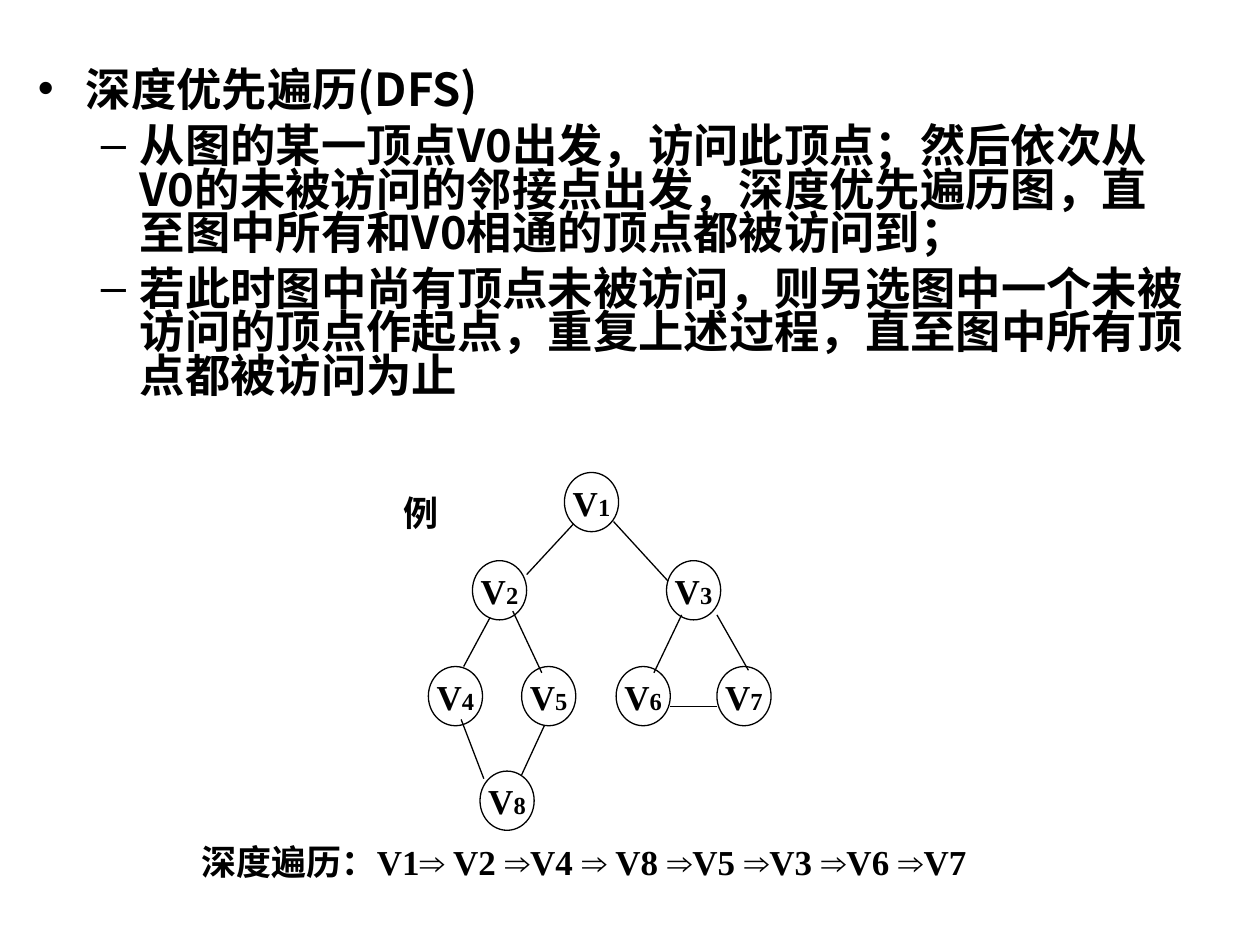
from lxml import etree
from pptx import Presentation, util as u
from pptx.dml.color import RGBColor
from pptx.enum import shapes, text
from pptx.oxml.ns import qn

BLACK = "000000"
CJK, SERIF, SANS = "Noto Sans CJK SC", "Times New Roman", "Arial"
NODE_W, NODE_H = 0.43, 0.47
ROWS = [3.75, 4.45, 5.29, 6.12]

# vertex number: (left, row)
NODES = {
    1: (4.48, 0), 2: (3.75, 1), 3: (5.29, 1), 4: (3.4, 2),
    5: (4.14, 2), 6: (4.89, 2), 7: (5.69, 2), 8: (3.81, 3),
}
EDGES = [
    (4.55, 4.16, 4.18, 4.56), (4.87, 4.14, 5.3, 4.61),
    (3.89, 4.9, 3.68, 5.29), (4.07, 4.85, 4.3, 5.34),
    (3.66, 5.71, 3.84, 6.18), (4.32, 5.76, 4.14, 6.15),
    (5.41, 4.88, 5.19, 5.34), (5.32, 5.61, 5.69, 5.61),
    (5.69, 4.88, 5.94, 5.32),
]
# level, text
OUTLINE = [
    (0, "深度优先遍历(DFS)"),
    (1, "从图的某一顶点V0出发，访问此顶点；然后依次从V0的未被访问的邻接点出发，"
        "深度优先遍历图，直至图中所有和V0相通的顶点都被访问到；"),
    (1, "若此时图中尚有顶点未被访问，则另选图中一个未被访问的顶点作起点，"
        "重复上述过程，直至图中所有顶点都被访问为止"),
]
# level: (bullet, left margin, first-line indent)
BULLETS = {0: ("•", 0.38, -0.38), 1: ("–", 0.81, -0.31)}
VISITS = ["深度遍历：V1", " V2 ", "V4 ", " V8 ", "V5 ", "V3 ", "V6 ", "V7"]


def color(value):
    return RGBColor.from_string(value)


def inches(*values):
    return [u.Inches(value) for value in values]


def set_format(target, values):
    for name, value in values.items():
        setattr(target, name, value)


def add_span(para, words, size, font=SERIF):
    span = para.add_run()
    span.text = words
    set_format(span.font, {"name": font, "size": u.Pt(size), "bold": True})
    span.font.color.rgb = color(BLACK)
    etree.SubElement(span.font._element, qn("a:ea"), typeface=CJK)


def set_bullet(para, level):
    mark, margin, indent = BULLETS[level]
    props = para._p.get_or_add_pPr()
    props.set("marL", str(u.Inches(margin)))
    props.set("indent", str(u.Inches(indent)))
    etree.SubElement(props, qn("a:buFont"), typeface=SANS)
    etree.SubElement(props, qn("a:buChar"), char=mark)


def fill_outline(body):
    set_format(body, dict(zip(("left", "top", "width", "height"),
                              inches(0.2, 0.52, 9.3, 3.27))))
    frame = body.text_frame
    set_format(frame, {"word_wrap": True, "auto_size": text.MSO_AUTO_SIZE.NONE,
                       "vertical_anchor": text.MSO_ANCHOR.TOP})
    for index, (level, words) in enumerate(OUTLINE):
        para = frame.add_paragraph() if index else frame.paragraphs[0]
        set_bullet(para, level)
        set_format(para, {"level": level, "line_spacing": 0.8,
                          "space_before": u.Pt(7 if index else 0)})
        add_span(para, words, 25.9, CJK)


def add_edge(slide, ends):
    edge = slide.shapes.add_connector(shapes.MSO_CONNECTOR.STRAIGHT, *inches(*ends))
    edge.line.width = u.Pt(0.75)
    edge.line.color.rgb = color(BLACK)
    etree.SubElement(edge._element.spPr, qn("a:effectLst"))


def add_node(slide, number, left, row):
    node = slide.shapes.add_shape(shapes.MSO_SHAPE.OVAL,
                                  *inches(left, ROWS[row], NODE_W, NODE_H))
    node.shadow.inherit = False
    node.fill.background()
    node.line.width = u.Pt(0.75)
    node.line.color.rgb = color(BLACK)
    set_format(node.text_frame, {"word_wrap": False,
                                 "vertical_anchor": text.MSO_ANCHOR.MIDDLE})
    para = node.text_frame.paragraphs[0]
    para.alignment = text.PP_ALIGN.CENTER
    add_span(para, "V", 20)
    add_span(para, str(number), 14)


def add_label(slide, place, align):
    """Add an empty one-line text box and return its paragraph."""
    box = slide.shapes.add_textbox(*inches(*place))
    set_format(box.text_frame, {"word_wrap": False,
                                "auto_size": text.MSO_AUTO_SIZE.SHAPE_TO_FIT_TEXT})
    para = box.text_frame.paragraphs[0]
    para.alignment = align
    return para


def add_visit_order(slide):
    para = add_label(slide, (1.5, 6.62, 6.49, 0.44), text.PP_ALIGN.LEFT)
    for index, visit in enumerate(VISITS):
        if index:
            add_span(para, "⇒", 20, SANS)
        add_span(para, visit, 20)


def main():
    deck = Presentation()
    deck.slide_width, deck.slide_height = inches(10, 7.5)
    slide = deck.slides.add_slide(deck.slide_layouts[1])
    title = slide.shapes.title._element
    title.getparent().remove(title)

    fill_outline(slide.placeholders[1])
    for number, (left, row) in NODES.items():
        add_node(slide, number, left, row)
    for ends in EDGES:
        add_edge(slide, ends)
    example = add_label(slide, (3.1, 3.85, 0.48, 0.44), text.PP_ALIGN.CENTER)
    add_span(example, "例", 20)
    add_visit_order(slide)
    deck.save("out.pptx")


if __name__ == "__main__":
    main()
